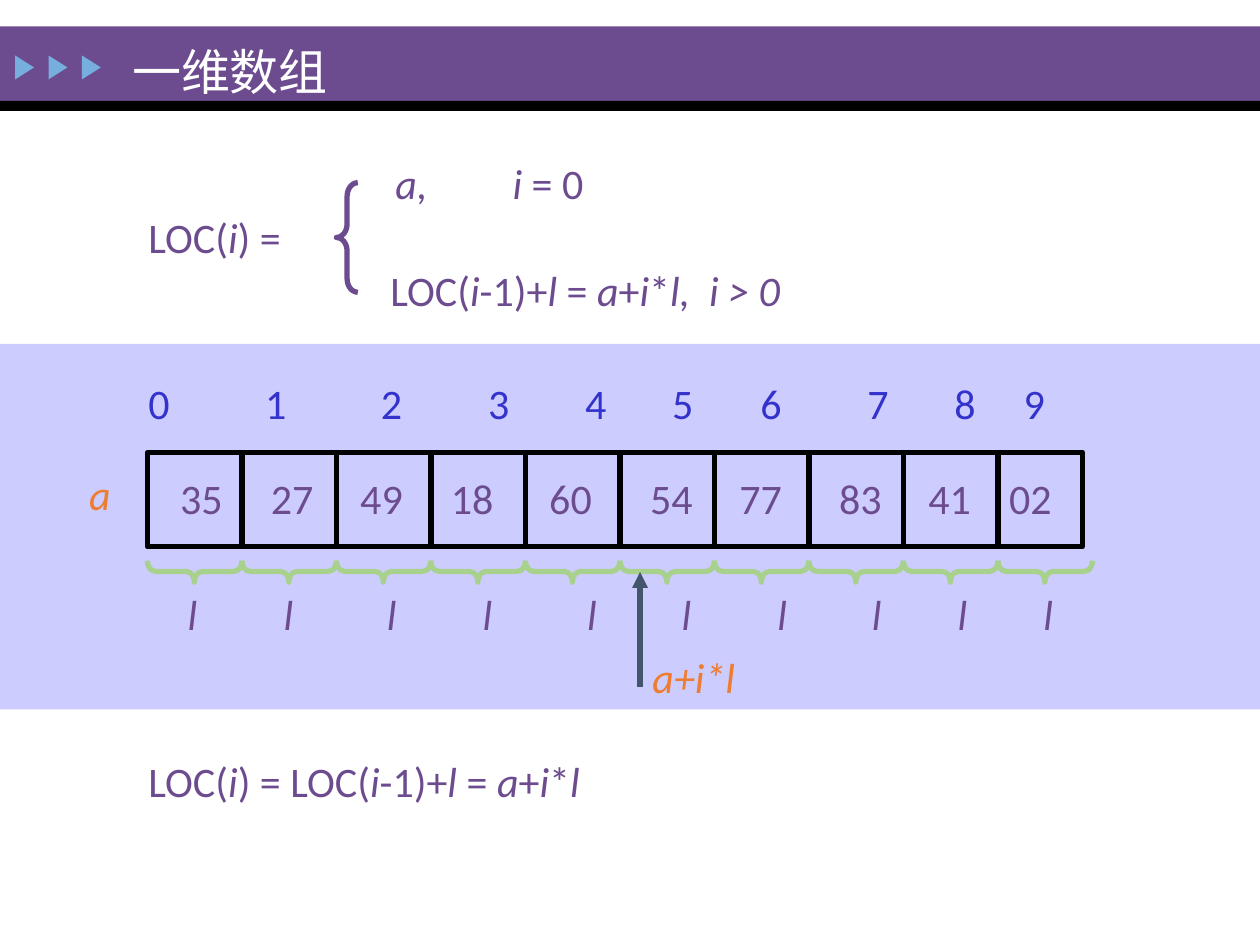
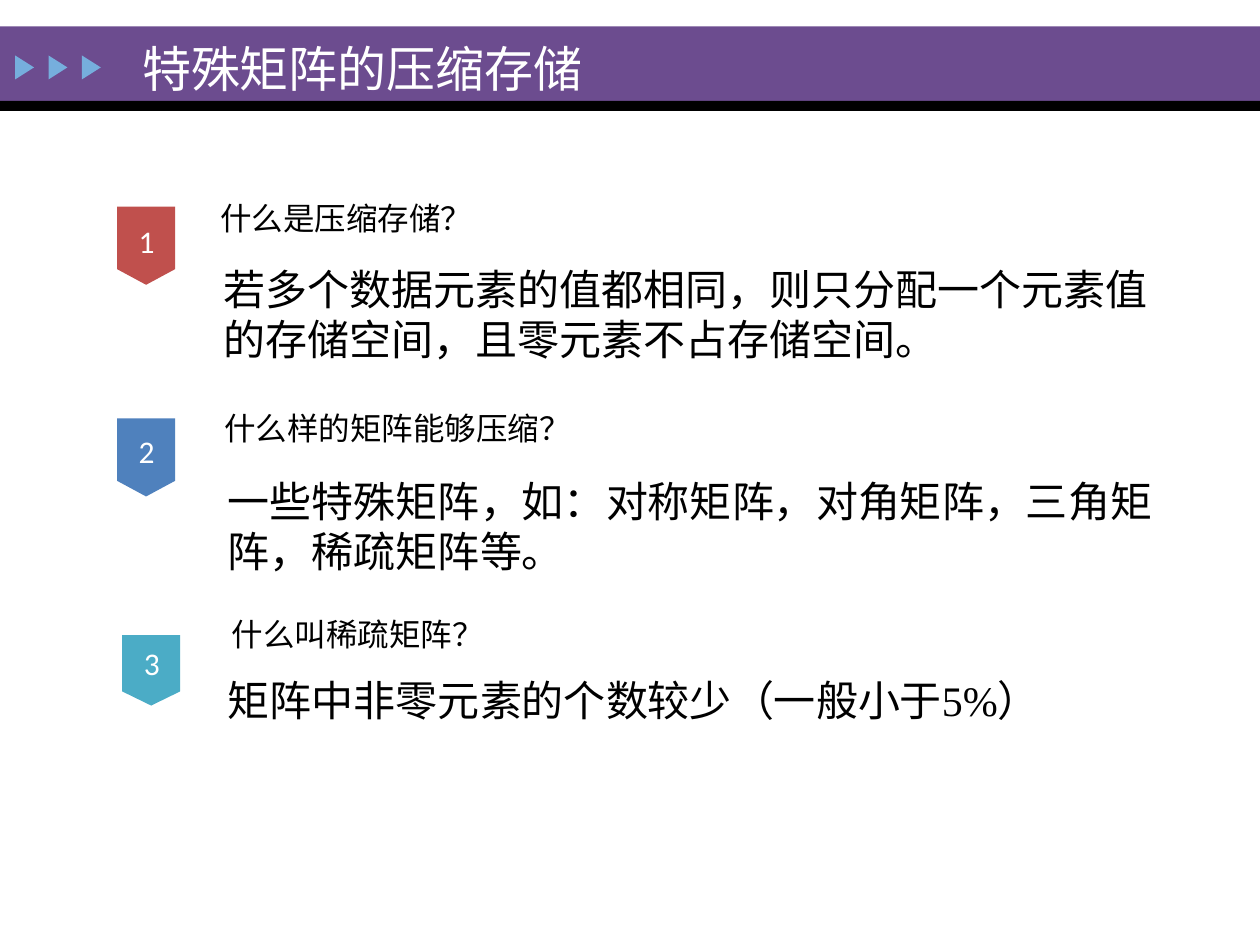
from lxml import etree
from pptx import Presentation
from pptx.dml.color import RGBColor
from pptx.enum.shapes import MSO_CONNECTOR, MSO_SHAPE
from pptx.enum.text import MSO_ANCHOR, PP_ALIGN
from pptx.oxml.ns import qn
from pptx.util import Inches, Pt

RECT = MSO_SHAPE.RECTANGLE
TRIANGLE = MSO_SHAPE.ISOSCELES_TRIANGLE
BRACE = MSO_SHAPE.LEFT_BRACE
OVAL = MSO_SHAPE.OVAL
PENNANT = MSO_SHAPE.FLOWCHART_OFFPAGE_CONNECTOR
STRAIGHT = MSO_CONNECTOR.STRAIGHT
MIDDLE = MSO_ANCHOR.MIDDLE
TOP = MSO_ANCHOR.TOP
CENTER = PP_ALIGN.CENTER

PURPLE, BLACK, WHITE, SKY = "6C4C8F", "000000", "FFFFFF", "76AEDD"
LILAC, INDIGO, GREEN, ORANGE, SLATE = "CCCCFF", "3333CC", "A9D18E", "ED7D31", "44546A"
SANS, SERIF = "Calibri", "Times New Roman"
TEXT_INSETS = (0.1, 0.05, 0.1, 0.05)

INDICES = "0123456789"
INDEX_CENTERS = (0.08, 1.01, 1.93, 2.78, 3.55, 4.24, 4.94, 5.79, 6.48, 7.03)
VALUES = ("35", "27", "49", "18", "60", "54", "77", "83", "41", "02")
VALUE_CENTERS = (0.32, 1.04, 1.75, 2.47, 3.25, 4.05, 4.76, 5.55, 6.26, 6.9)
LENGTH_CENTERS = (0.11, 0.87, 1.69, 2.45, 3.28, 4.03, 4.79, 5.54, 6.22, 6.9)

QUESTIONS = (
    ("1", "C0504D", (0.93, 1.61), 0.62, 0.03, (1.75, 1.58), "什么是压缩存储？", (1.64, 2.02, 7.89, 1.1),
     "若多个数据元素的值都相同，则只分配一个元素值的存储空间，且零元素不占存储空间。"),
    ("2", "4F81BD", (0.93, 3.27), 0.62, 0.05, (1.78, 3.25), "什么样的矩阵能够压缩？", (1.68, 3.7, 7.86, 0.91),
     "一些特殊矩阵，如：对称矩阵，对角矩阵，三角矩阵，稀疏矩阵等。"),
    ("3", "4BACC6", (0.97, 4.96), 0.56, 0.08, (1.84, 4.88), "什么叫稀疏矩阵？", (1.68, 5.28, 7.86, 0.6),
     "矩阵中非零元素的个数较少（一般小于5%）"),
)


def rgb(color):
    """Turn a hex string into a colour."""
    return RGBColor.from_string(color)


def add_form(slide, kind, box, fill=None, line=None, rotation=0, adjust=()):
    """Add a flat preset shape with an optional fill and a 3 pt outline."""
    form = slide.shapes.add_shape(kind, *map(Inches, box))
    form.shadow.inherit = False
    form.rotation = rotation
    for place, value in enumerate(adjust):
        form.adjustments[place] = value
    if fill:
        form.fill.solid()
        form.fill.fore_color.rgb = rgb(fill)
    else:
        form.fill.background()
    if line:
        form.line.color.rgb = rgb(line)
        form.line.width = Pt(3)
    else:
        form.line.fill.background()
    return form


def add_rule(slide, start, end, color, arrow=False):
    """Draw a straight 3 pt line, with an arrowhead at its end on request."""
    rule = slide.shapes.add_connector(STRAIGHT, *map(Inches, start + end))
    rule.line.color.rgb = rgb(color)
    rule.line.width = Pt(3)
    properties = rule._element.spPr
    if arrow:
        etree.SubElement(properties.find(qn("a:ln")), qn("a:tailEnd"), type="triangle")
    etree.SubElement(properties, qn("a:effectLst"))


def write(shape, text, size, color, font=SANS, tabs=(), tab_align="ctr"):
    """Write one paragraph in which underscores enclose italic runs."""
    paragraph = shape.text_frame.paragraphs[0]
    if tabs:
        stops = etree.SubElement(paragraph._p.get_or_add_pPr(), qn("a:tabLst"))
        for stop in tabs:
            etree.SubElement(stops, qn("a:tab"), pos=str(Inches(stop)), algn=tab_align)
    paragraph.font.size = Pt(size)
    paragraph.font.name = font
    paragraph.font.color.rgb = rgb(color)
    for place, part in enumerate(text.split("_")):
        if part:
            run = paragraph.add_run()
            run.text = part
            run.font.italic = place % 2 == 1
    return paragraph


def add_text(slide, box, text, size=24, color=PURPLE, insets=TEXT_INSETS,
             anchor=TOP, wrap=True, **style):
    """Add a text box and return its paragraph."""
    area = slide.shapes.add_textbox(*map(Inches, box))
    frame = area.text_frame
    frame.word_wrap = wrap
    frame.vertical_anchor = anchor
    frame.margin_left, frame.margin_top, frame.margin_right, frame.margin_bottom = map(Inches, insets)
    return write(area, text, size, color, **style)


def add_row(slide, box, items, centers, color):
    """Set items in one line of text, each centred on its tab stop."""
    add_text(slide, box, "".join("\t" + item for item in items), color=color, tabs=centers)


def add_header(slide, title, box):
    """Draw the title band, its black edge, the three pointers and the title."""
    add_form(slide, RECT, (0, 0.21, 10, 0.59), PURPLE)
    add_form(slide, RECT, (0, 0.8, 10, 0.08), BLACK)
    for pointer in range(3):
        add_form(slide, TRIANGLE, (0.1 + 0.265 * pointer, 0.46, 0.19, 0.15), SKY, rotation=90)
    add_text(slide, box, title, 28, WHITE, anchor=MIDDLE)


def add_definition(slide, left, top):
    """State the two cases of the location formula beside a brace."""
    add_text(slide, (left, top + 0.43, 1.57, 0.51), "LOC(_i_) =")
    add_form(slide, BRACE, (left + 1.59, top + 0.25, 0.17, 0.87), line=PURPLE, adjust=(0.625, 0.5))
    add_text(slide, (left + 1.96, top, 2.25, 0.51), "_a,\ti_ = 0", tabs=(0.93,), tab_align="l")
    add_text(slide, (left + 1.92, top + 0.85, 5.75, 0.51),
             "LOC(_i_-1)+_l_ = _a_+_i_*_l,\ti > 0_", tabs=(2.53,), tab_align="l")


def add_array(slide, left, top):
    """Draw the array cells with indices, values, element lengths and address arrow."""
    pitch, height, count = 0.75, 0.75, len(VALUES)
    add_form(slide, RECT, (0, top - 0.86, 10, 2.9), LILAC)
    add_form(slide, RECT, (left, top, 7.42, height), LILAC, BLACK)
    for cell in range(1, count):
        x = left + cell * pitch
        add_rule(slide, (x, top), (x, top + height), BLACK)
    for cell in range(count):
        add_form(slide, BRACE, (left + 0.29 + cell * pitch, top + 0.57, 0.17, pitch),
                 line=GREEN, rotation=270, adjust=(0.375, 0.497))
    add_row(slide, (left - 0.09, top - 0.64, 7.5, 0.51), INDICES, INDEX_CENTERS, INDIGO)
    add_row(slide, (left + 0.01, top + 0.11, 7.34, 0.5), VALUES, VALUE_CENTERS, PURPLE)
    add_row(slide, (left + 0.15, top + 1.03, 7.27, 0.51), ["_l_"] * count, LENGTH_CENTERS, PURPLE)
    add_text(slide, (left - 0.56, top + 0.08, 0.37, 0.51), "_a_", color=ORANGE, wrap=False)
    arrow = left + 3.91
    add_rule(slide, (arrow, top + 1.86), (arrow, top + 0.95), SLATE, arrow=True)
    add_text(slide, (arrow, top + 1.53, 0.95, 0.51), "_a+i*l_", color=ORANGE, wrap=False)


def add_badge(slide, number, color, left, top, height, drop):
    """Draw a numbered pennant."""
    add_form(slide, PENNANT, (left, top + drop, 0.46, height), color)
    label = add_form(slide, OVAL, (left - 0.03, top, 0.53, 0.61))
    label.text_frame.vertical_anchor = MIDDLE
    write(label, number, 18, WHITE).alignment = CENTER


def add_question(slide, number, color, badge, height, drop, spot, question, answer_box, answer):
    """Place a badge, its question and the answer below."""
    add_badge(slide, number, color, *badge, height, drop)
    add_text(slide, (*spot, 3.8, 0.4), question, 18, BLACK, insets=(0, 0, 0, 0), wrap=False)
    paragraph = add_text(slide, answer_box, answer, 24, BLACK,
                         insets=(0.13, 0.07, 0.13, 0.07), font=SERIF)
    paragraph.space_before = Pt(4.8)


def build_array_slide(slide):
    """Build the slide on one-dimensional arrays."""
    add_header(slide, "一维数组", (0.95, 0.28, 2.62, 0.56))
    add_definition(slide, 1.08, 1.2)
    add_array(slide, 1.17, 3.59)
    add_text(slide, (1.08, 5.95, 8.39, 0.51), "LOC(_i_) = LOC(_i_-1)+_l_ = _a_+_i_*_l_")


def build_matrix_slide(slide):
    """Build the slide on compressed storage of special matrices."""
    add_header(slide, "特殊矩阵的压缩存储", (1.03, 0.26, 5.82, 0.56))
    for question in QUESTIONS:
        add_question(slide, *question)


def main():
    """Build both slides and save the presentation."""
    deck = Presentation()
    deck.slide_width, deck.slide_height = Inches(10), Inches(7.5)
    for build in (build_array_slide, build_matrix_slide):
        build(deck.slides.add_slide(deck.slide_layouts[6]))
    deck.save("out.pptx")


if __name__ == "__main__":
    main()
